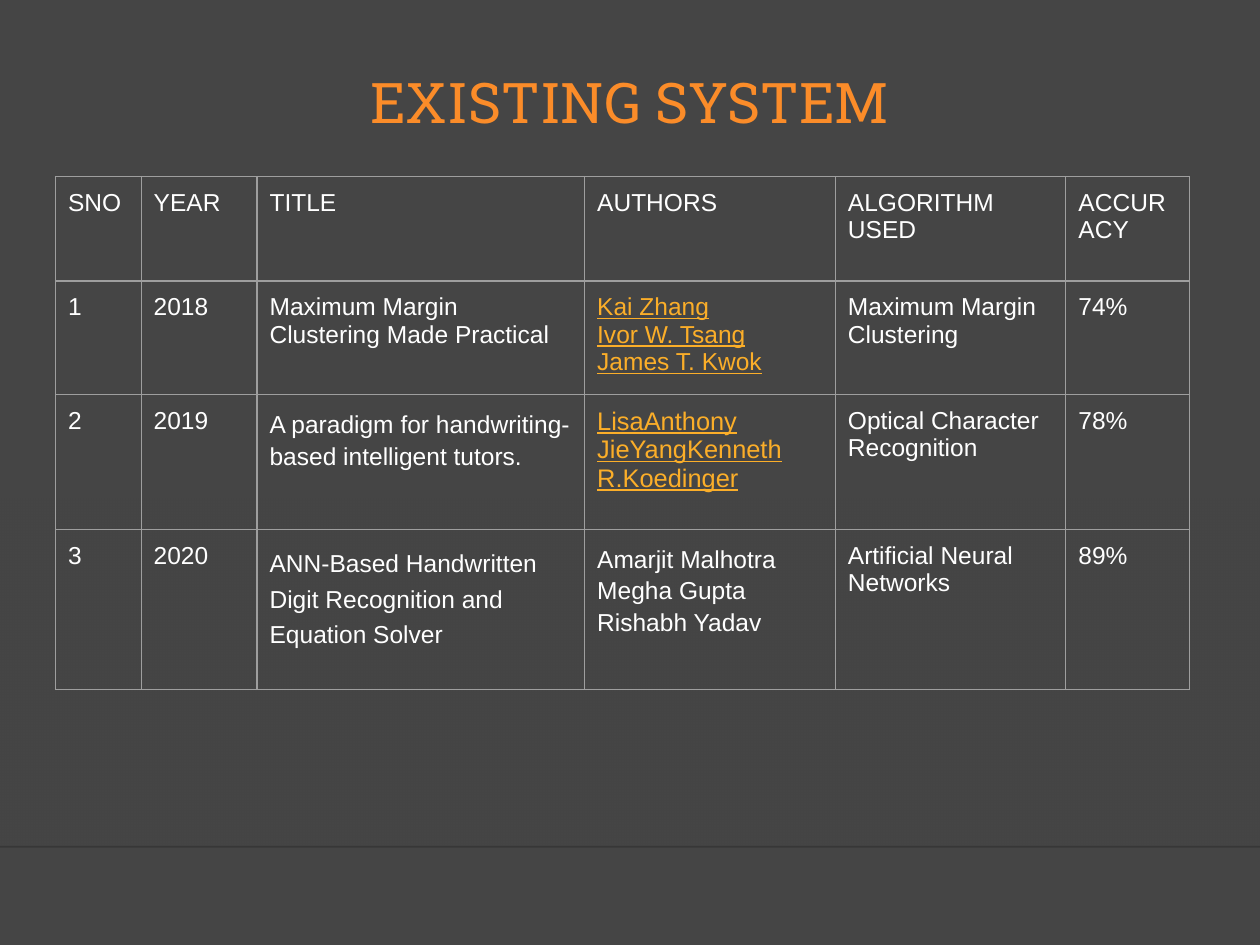
from dataclasses import dataclass

from lxml.etree import SubElement
from pptx import Presentation
from pptx.dml.color import RGBColor
from pptx.enum.shapes import MSO_CONNECTOR, MSO_SHAPE
from pptx.enum.text import MSO_ANCHOR, PP_ALIGN
from pptx.oxml import parse_xml
from pptx.oxml.ns import nsdecls, qn
from pptx.util import Inches, Pt


@dataclass(frozen=True)
class Theme:
    background: str = "454545"
    title: str = "FB8C29"
    text: str = "FFFFFF"
    link: str = "FBAE29"
    border: str = "9E9E9E"
    rule: str = "000001"
    title_font: str = "Roboto Slab"
    body_font: str = "Arial"
    title_size: float = 32
    body_size: float = 14
    large_link_size: float = 14.5


@dataclass(frozen=True)
class Entry:
    """Table text with its own paragraphs or formatting."""
    lines: tuple
    color: str = Theme.text
    size: float = Theme.body_size
    underline: bool = False
    line_spacing: float = 1.0
    space_after: float = 0


THEME = Theme()
COLUMN_WIDTHS = (0.68, 0.92, 2.6, 1.99, 1.83, 0.98)
ROW_HEIGHTS = (0.83, 0.87, 1.07, 1.27)
ROWS = (
    ("SNO", "YEAR", "TITLE", "AUTHORS", "ALGORITHM USED", "ACCURACY"),
    ("1", "2018", "Maximum Margin Clustering Made Practical",
     Entry(("Kai Zhang", "Ivor W. Tsang", "James T. Kwok"), THEME.link, underline=True),
     "Maximum Margin Clustering", "74%"),
    ("2", "2019",
     Entry(("A paradigm for handwriting-based intelligent tutors.",),
           line_spacing=1.15, space_after=6),
     Entry(("LisaAnthony", "JieYangKenneth R.Koedinger"), THEME.link,
           THEME.large_link_size, underline=True),
     "Optical Character Recognition", "78%"),
    ("3", "2020",
     Entry(("ANN-Based Handwritten Digit Recognition and Equation Solver",),
           line_spacing=1.3),
     Entry(("Amarjit Malhotra", "Megha Gupta", "Rishabh Yadav"), line_spacing=1.15),
     "Artificial Neural Networks", "89%"),
)


def rgb(value):
    return RGBColor.from_string(value)


def set_opacity(color_element, percent):
    SubElement(color_element, qn("a:alpha")).set("val", str(percent * 1000))


def add_run(paragraph, text, font_name, size, color, underline=None):
    run = paragraph.add_run()
    run.text = text
    run.font.name = font_name
    run.font.size = Pt(size)
    run.font.color.rgb = rgb(color)
    run.font.underline = underline


def add_backdrop(slide):
    slide.background.fill.solid()
    slide.background.fill.fore_color.rgb = rgb(THEME.background)

    # Fading panel
    panel = slide.shapes.add_shape(
        MSO_SHAPE.RECTANGLE, 0, Inches(3.96), Inches(10), Inches(2.75))
    panel.shadow.inherit = False
    panel.line.fill.background()
    panel.fill.gradient()
    panel.fill.gradient_angle = 270
    for stop in panel.fill.gradient_stops:
        stop.color.rgb = rgb(THEME.background)
    last_color = panel.element.spPr.findall(".//" + qn("a:srgbClr"))[-1]
    set_opacity(last_color, 80)

    # Floor line
    line = slide.shapes.add_connector(
        MSO_CONNECTOR.STRAIGHT, 0, Inches(6.72), Inches(10), Inches(6.72))
    line.line.width = Pt(1)
    line.line.color.rgb = rgb(THEME.rule)
    properties = line.element.spPr
    set_opacity(properties.find(".//" + qn("a:srgbClr")), 20)
    SubElement(properties, qn("a:effectLst"))


def add_title(slide, text):
    frame = slide.shapes.add_textbox(
        Inches(0.5), 0, Inches(9), Inches(1.67)).text_frame
    frame.word_wrap = True
    frame.vertical_anchor = MSO_ANCHOR.MIDDLE
    paragraph = frame.paragraphs[0]
    paragraph.alignment = PP_ALIGN.CENTER
    paragraph.line_spacing = 0.9
    add_run(paragraph, text, THEME.title_font, THEME.title_size, THEME.title)


def add_borders(cell):
    properties = cell._tc.get_or_add_tcPr()
    for position, side in enumerate(("lnL", "lnR", "lnT", "lnB")):
        properties.insert(position, parse_xml(
            f'<a:{side} {nsdecls("a")} w="{Pt(0.75)}"><a:solidFill>'
            f'<a:srgbClr val="{THEME.border}"/></a:solidFill></a:{side}>'))


def fill_cell(cell, content):
    entry = content if isinstance(content, Entry) else Entry((content,))
    cell.fill.background()
    cell.margin_left = cell.margin_right = Inches(0.1)
    cell.margin_top = cell.margin_bottom = Inches(0.1)
    add_borders(cell)
    frame = cell.text_frame
    for index, text in enumerate(entry.lines):
        paragraph = frame.add_paragraph() if index else frame.paragraphs[0]
        paragraph.line_spacing = entry.line_spacing
        paragraph.space_after = Pt(entry.space_after)
        add_run(paragraph, text, THEME.body_font, entry.size, entry.color,
                entry.underline)


def add_survey_table(slide):
    table = slide.shapes.add_table(
        len(ROWS), len(COLUMN_WIDTHS), Inches(0.44), Inches(1.4),
        Inches(sum(COLUMN_WIDTHS)), Inches(sum(ROW_HEIGHTS))).table
    table.first_row = table.horz_banding = False
    for column, width in zip(table.columns, COLUMN_WIDTHS):
        column.width = Inches(width)
    for row, height, contents in zip(table.rows, ROW_HEIGHTS, ROWS):
        row.height = Inches(height)
        for cell, content in zip(row.cells, contents):
            fill_cell(cell, content)


def main():
    presentation = Presentation()
    presentation.slide_width = Inches(10)
    presentation.slide_height = Inches(7.5)
    slide = presentation.slides.add_slide(presentation.slide_layouts[6])
    add_backdrop(slide)
    add_title(slide, "EXISTING SYSTEM")
    add_survey_table(slide)
    presentation.save("out.pptx")


if __name__ == "__main__":
    main()
